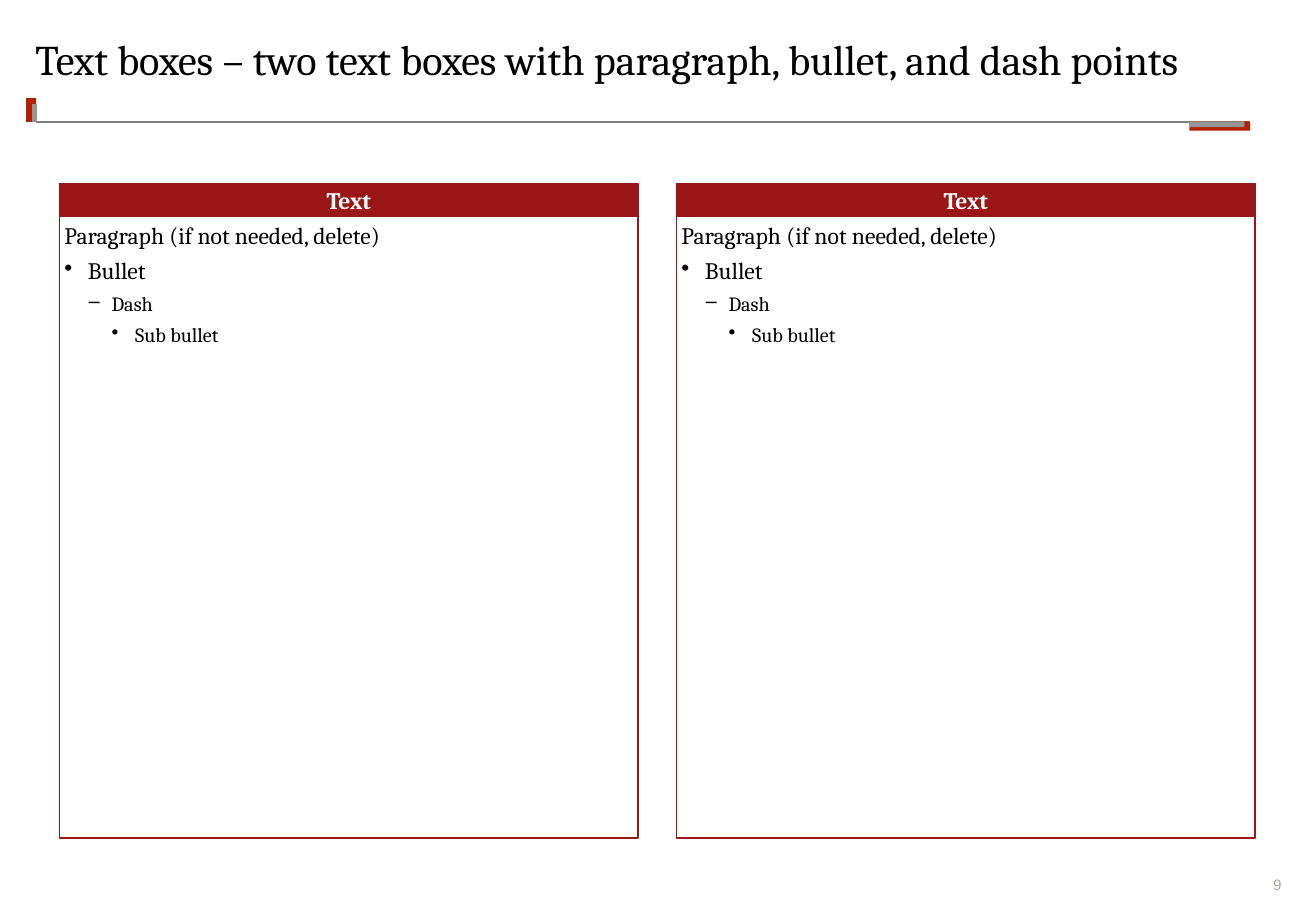
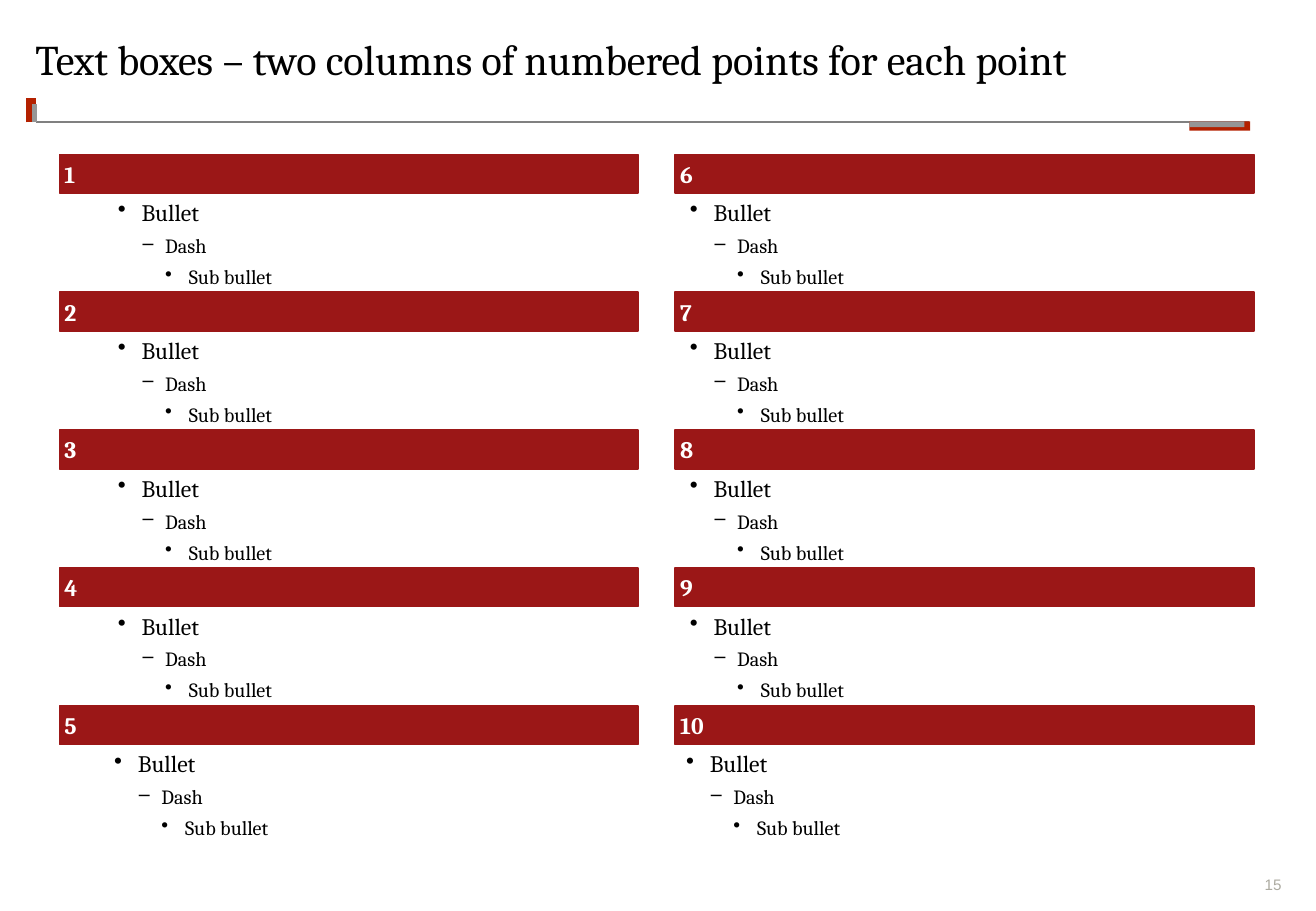
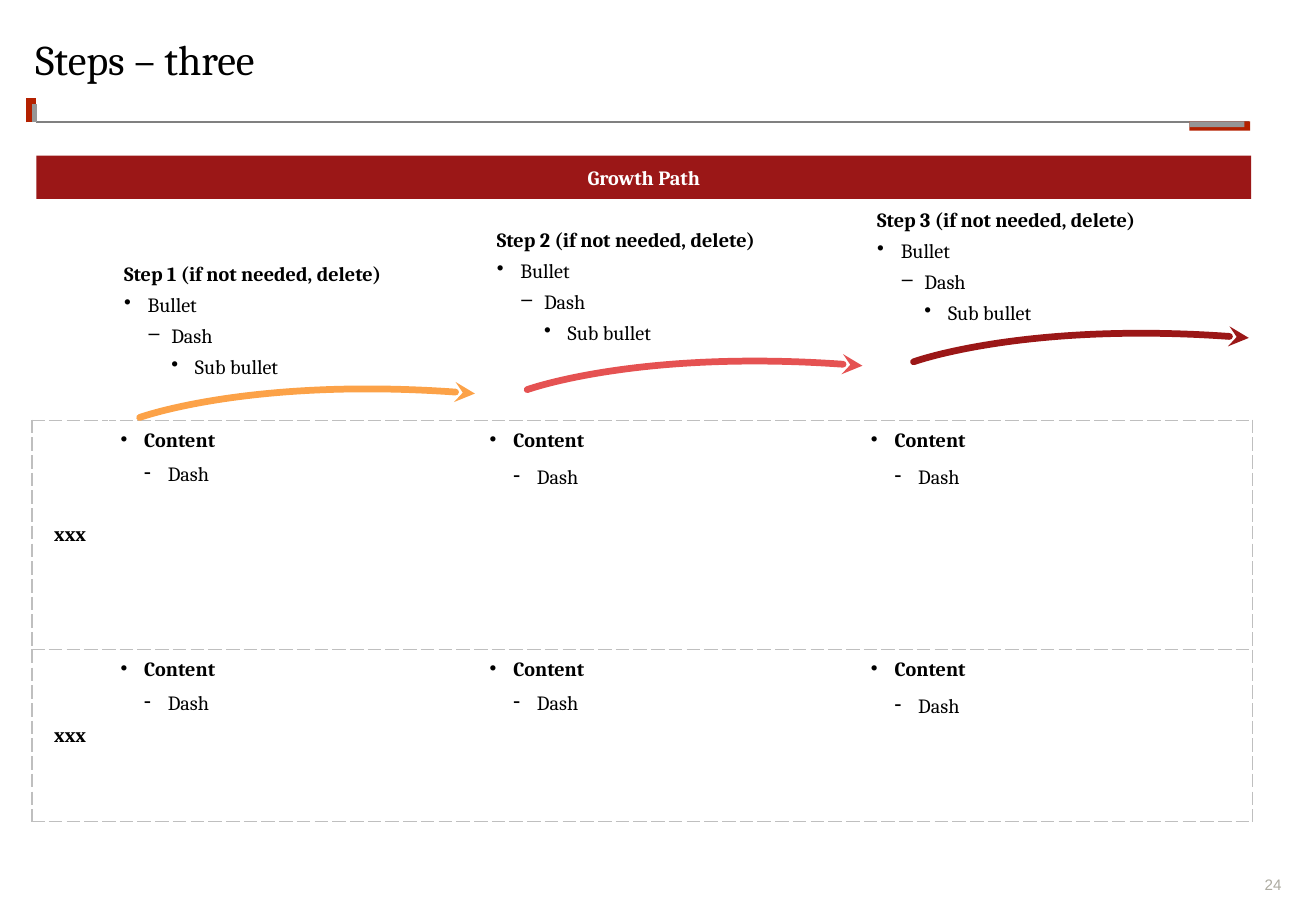
from dataclasses import dataclass

import pptx
import pptx.dml.color
import pptx.enum.shapes
import pptx.enum.text
import pptx.oxml
import pptx.oxml.ns
import pptx.util

Pt = pptx.util.Pt
ALIGN = pptx.enum.text.PP_ALIGN
ANCHOR = pptx.enum.text.MSO_ANCHOR
SHAPE = pptx.enum.shapes.MSO_SHAPE

SERIF, SANS = "Cambria", "Arial"
BLACK, WHITE, CRIMSON = "000000", "FFFFFF", "9B1717"
ACCENT_RED, ACCENT_GREY, RULE_GREY = "B42100", "969696", "808080"
PAGE_NUMBER_GREY, BORDER_GREY = "ADABA1", "BFBFBF"
INSET = 2.88
INDENT = 14
NO_STYLE_TABLE = "{2D5ABB26-0587-4C30-8999-92F81FD0307C}"


@dataclass
class Line:
    """One paragraph; level is the indent depth of its bullet."""
    text: str
    size: float = 12
    level: int = 0
    bullet: str = ""
    bold: bool = False
    color: str = BLACK
    font: str = SERIF
    align: ALIGN = ALIGN.LEFT
    before: float = 4
    spacing: float = 1.0


def bullet_lines(bullet_size):
    return [Line("Bullet", bullet_size, 1, "•"), Line("Dash", 12, 2, "‒"),
            Line("Sub bullet", 12, 3, "•")]


def content_lines(before):
    return [Line("Content", 12, 1, "•", bold=True, before=before, spacing=1.14),
            Line("Dash", 12, 2, "-", before=before, spacing=1.14)]


TWO_BOXES = {
    "title": "Text boxes – two text boxes with paragraph, bullet, and dash points",
    "number": "9",
    "columns": [(35.3, "Text"), (401, "Text")],
    "body": [Line("Paragraph (if not needed, delete)", 14)] + bullet_lines(14),
}
NUMBERED = {
    "title": "Text boxes – two columns of numbered points for each point",
    "number": "15",
    "rows": 5,
    "columns": [(35.3, 67), (400.3, 406)],  # left of the bars, left of the bullets
}
STEPS = {
    "title": "Steps – three",
    "number": "24",
    "banner": "Growth Path",
    # name, text left and top, arrow start, arrow colour
    "steps": [
        ("Step 1", (70.6, 151.9), (82.8, 247.5), "FCA248"),
        ("Step 2", (291.6, 131.8), (312.5, 231), "E55252"),
        ("Step 3", (517, 120), (541.5, 214.5), CRIMSON),
    ],
    # row label, space above the dash in each column
    "table": [("xxx", (4, 6, 6)), ("xxx", (4, 4, 6))],
    "column_widths": [45.4, 226, 226, 226],
    "row_heights": [21, 135.8, 102],
}


def rgb(color):
    return pptx.dml.color.RGBColor.from_string(color)


def add_xml(parent, markup):
    """Append an element written with the a: prefix."""
    head, rest = markup[:2], markup[2:]
    name_end = min(rest.find(mark) for mark in " />" if mark in rest)
    declared = head + rest[:name_end] + " " + pptx.oxml.ns.nsdecls("a") + rest[name_end:]
    element = pptx.oxml.parse_xml(declared)
    parent.append(element)
    return element


def write_lines(frame, lines):
    frame.word_wrap = True
    for index, line in enumerate(lines):
        para = frame.add_paragraph() if index else frame.paragraphs[0]
        para.add_run().text = line.text
        if line.bullet:
            properties = para._p.get_or_add_pPr()
            properties.set("marL", str(Pt(INDENT * line.level)))
            properties.set("indent", str(-Pt(INDENT)))
            add_xml(properties, f'<a:buChar char="{line.bullet}"/>')
        para.alignment = line.align
        para.line_spacing = line.spacing
        para.space_before = Pt(line.before if index else 0)
        para.font.name = line.font
        para.font.size = Pt(line.size)
        para.font.bold = line.bold
        para.font.color.rgb = rgb(line.color)


def set_insets(target, across, down, anchor=ANCHOR.TOP):
    """Set the margins and anchor of a text frame or a table cell."""
    target.margin_left = target.margin_right = Pt(across)
    target.margin_top = target.margin_bottom = Pt(down)
    target.vertical_anchor = anchor


def add_text(page, place, lines, inset=INSET, anchor=ANCHOR.TOP):
    box = page.shapes.add_textbox(*map(Pt, place))
    set_insets(box.text_frame, inset, inset, anchor)
    write_lines(box.text_frame, lines)
    return box


def add_box(page, place, fill=None, outline=None, lines=(), anchor=ANCHOR.MIDDLE):
    box = page.shapes.add_shape(SHAPE.RECTANGLE, *map(Pt, place))
    box.shadow.inherit = False
    if fill:
        box.fill.solid()
        box.fill.fore_color.rgb = rgb(fill)
    else:
        box.fill.background()
    if outline:
        box.line.color.rgb = rgb(outline)
        box.line.width = Pt(1)
    else:
        box.line.fill.background()
    set_insets(box.text_frame, INSET, INSET, anchor)
    write_lines(box.text_frame, lines)


def add_rule(page, start, end, color, width):
    rule = page.shapes.add_connector(
        pptx.enum.shapes.MSO_CONNECTOR.STRAIGHT, *map(Pt, start + end))
    rule.line.color.rgb = rgb(color)
    rule.line.width = Pt(width)
    add_xml(rule._element.spPr, "<a:effectLst/>")


def add_page(deck, content):
    """Add a slide with the shared title, rules and page number."""
    page = deck.slides.add_slide(deck.slide_layouts[6])
    number = Line(content["number"], 9, color=PAGE_NUMBER_GREY, font=SANS, align=ALIGN.RIGHT)
    add_text(page, (737.3, 519.1, 22.3, 10.8), [number], 0, ANCHOR.BOTTOM)
    add_rule(page, (21.6, 72.3), (740.2, 72.3), RULE_GREY, 1)
    add_rule(page, (18.6, 72.5), (18.6, 58.2), ACCENT_RED, 6)
    add_rule(page, (20.4, 72.5), (20.4, 61.8), ACCENT_GREY, 3)
    add_box(page, (705, 72, 36, 5.4), ACCENT_RED)
    add_box(page, (705, 72, 32.5, 3.4), ACCENT_GREY)
    add_text(page, (21, 23, 738, 48), [Line(content["title"], 25, spacing=0.9)], 0)
    return page


def add_two_boxes(deck):
    page = add_page(deck, TWO_BOXES)
    top, header_height, width, body_height = 108.7, 19.5, 343, 368.6
    for left, heading in TWO_BOXES["columns"]:
        header = Line(heading, 14, bold=True, color=WHITE, align=ALIGN.CENTER)
        add_box(page, (left, top, width, header_height), CRIMSON, CRIMSON, [header])
        add_box(page, (left, top + header_height, width, body_height), None, CRIMSON,
                TWO_BOXES["body"], ANCHOR.TOP)


def add_numbered_points(deck):
    page = add_page(deck, NUMBERED)
    rows = NUMBERED["rows"]
    top, pitch, bar_height = 91.5, 81.7, 23
    for column, (bar_left, text_left) in enumerate(NUMBERED["columns"]):
        for row in range(rows):
            bar_top = top + row * pitch
            number = Line(str(column * rows + row + 1), 14, bold=True, color=WHITE)
            add_box(page, (bar_left, bar_top, 343, bar_height), CRIMSON, CRIMSON, [number])
            shift = 2.2 if row == rows - 1 else 0
            add_text(page, (text_left - shift, bar_top + bar_height, 284.4, 59.8),
                     bullet_lines(14))


def set_borders(cell, **sides):
    """Give cell sides (L, R, T, B, in that order) a dashed line of a colour."""
    properties = cell._tc.get_or_add_tcPr()
    for index, (side, color) in enumerate(sides.items()):
        border = add_xml(properties, (
            f'<a:ln{side} w="12700"><a:solidFill><a:srgbClr val="{color}"/></a:solidFill>'
            f'<a:prstDash val="sysDash"/></a:ln{side}>'))
        properties.remove(border)
        properties.insert(index, border)


def add_step_table(page):
    widths, heights = STEPS["column_widths"], STEPS["row_heights"]
    frame = page.shapes.add_table(len(heights), len(widths), Pt(18.9), Pt(228.2),
                                  Pt(sum(widths)), Pt(sum(heights)))
    table = frame.table
    table.first_row = table.horz_banding = False
    table._tbl.tblPr.find(pptx.oxml.ns.qn("a:tableStyleId")).text = NO_STYLE_TABLE
    for column, width in zip(table.columns, widths):
        column.width = Pt(width)
    for row, height in zip(table.rows, heights):
        row.height = Pt(height)
    for cell in table.iter_cells():
        cell.fill.background()
    for cell in table.rows[0].cells:
        set_insets(cell, 0, 0)
        cell.text_frame.paragraphs[0].font.size = Pt(12)
        set_borders(cell, B=BORDER_GREY)
    table.cell(0, 0).merge(table.cell(0, 2))

    for row, (label, spaces) in enumerate(STEPS["table"], 1):
        head = table.cell(row, 0)
        set_insets(head, INSET, INSET, ANCHOR.MIDDLE)
        write_lines(head.text_frame, [Line(label, bold=True, align=ALIGN.CENTER)])
        set_borders(head, L=BORDER_GREY, R=WHITE, T=BORDER_GREY, B=BORDER_GREY)
        for column, before in enumerate(spaces, 1):
            cell = table.cell(row, column)
            set_insets(cell, 7.2 if column == 1 else 0, 3.6)
            write_lines(cell.text_frame, content_lines(before))
            outer = {"L": WHITE} if column == 1 else {}
            if column == len(spaces):
                outer["R"] = BORDER_GREY
            set_borders(cell, **outer, T=BORDER_GREY, B=BORDER_GREY)


def add_curved_arrow(page, start, color):
    """Draw a rising arc from start, ending in an arrowhead."""
    left, bottom = start
    width, height = 198.7, 14.2
    builder = page.shapes.build_freeform(Pt(left), Pt(bottom))
    builder.add_line_segments([(Pt(left + width), Pt(bottom - height))], close=False)
    arrow = builder.convert_to_shape()
    arrow.shadow.inherit = False
    arrow.fill.background()
    arrow.line.color.rgb = rgb(color)
    arrow.line.width = Pt(4)
    outline = arrow.line._get_or_add_ln()
    outline.set("cap", "rnd")
    add_xml(outline, '<a:tailEnd type="stealth"/>')
    straight = arrow._element.find(".//" + pptx.oxml.ns.qn("a:lnTo"))
    segments = straight.getparent()
    segments.remove(straight)
    controls = [(0, height), (69.1, -11), (width, 0)]
    points = "".join(f'<a:pt x="{Pt(x)}" y="{Pt(y)}"/>' for x, y in controls)
    add_xml(segments, f"<a:cubicBezTo>{points}</a:cubicBezTo>")


def add_steps(deck):
    page = add_page(deck, STEPS)
    add_step_table(page)
    banner = Line(STEPS["banner"], bold=True, color=WHITE, align=ALIGN.CENTER)
    add_box(page, (21.6, 92.2, 720, 25.8), CRIMSON, None, [banner])
    for name, (left, top), arrow_start, color in STEPS["steps"]:
        add_curved_arrow(page, arrow_start, color)
        heading = Line(f"{name} (if not needed, delete)", bold=True)
        add_text(page, (left, top, 224.6, 87), [heading] + bullet_lines(12))


def main():
    deck = pptx.Presentation()
    deck.slide_width, deck.slide_height = Pt(780), Pt(540)
    add_two_boxes(deck)
    add_numbered_points(deck)
    add_steps(deck)
    deck.save("out.pptx")


if __name__ == "__main__":
    main()
